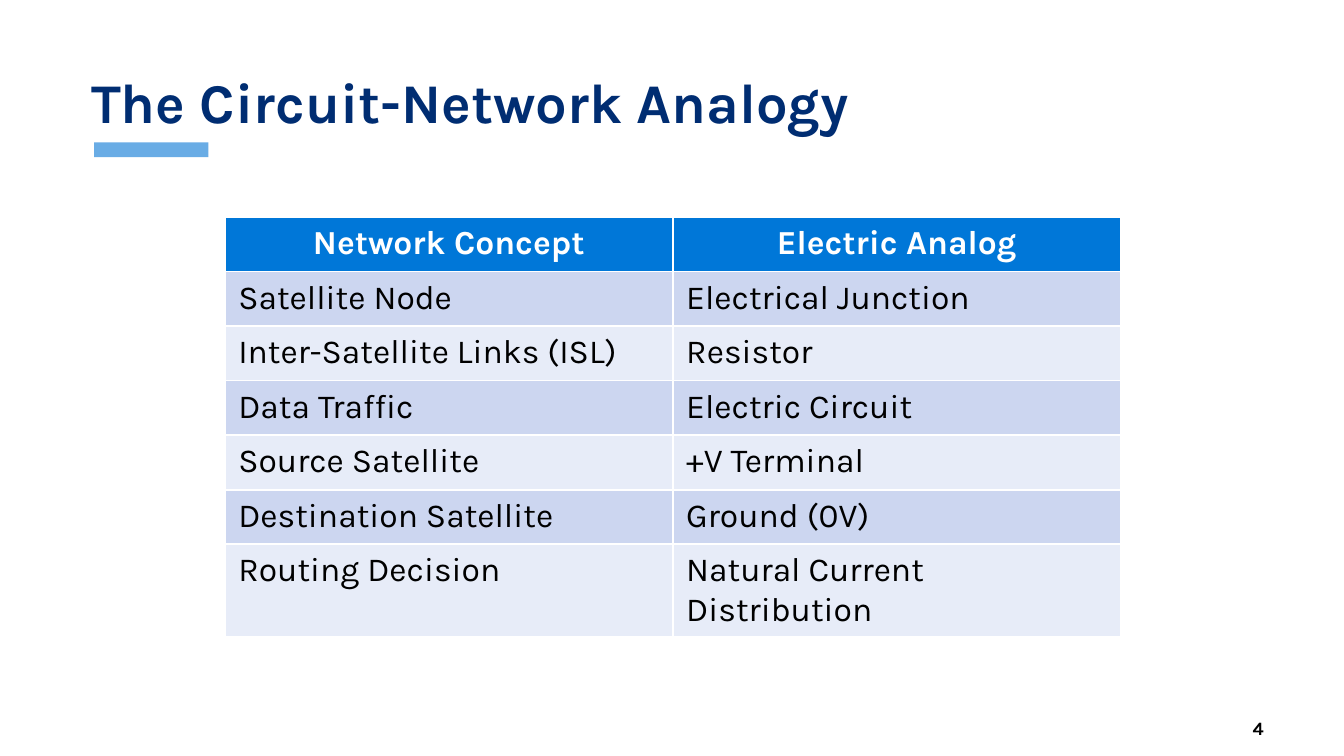
from pptx import Presentation
from pptx.dml.color import RGBColor
from pptx.enum.shapes import MSO_SHAPE
from pptx.enum.text import MSO_ANCHOR, MSO_AUTO_SIZE, PP_ALIGN
from pptx.util import Cm, Pt


class Theme:
    font = "Karla"
    navy = RGBColor(0x00, 0x2D, 0x72)
    accent = RGBColor(0x69, 0xAC, 0xE5)
    header = RGBColor(0x00, 0x77, 0xD8)
    bands = RGBColor(0xCC, 0xD6, 0xF0), RGBColor(0xE7, 0xEC, 0xF8)
    black = RGBColor(0, 0, 0)
    white = RGBColor(255, 255, 255)
    title_size, table_size, number_size = Pt(30), Pt(18), Pt(10)


def write(tf, text, size, color, bold=False, align=PP_ALIGN.LEFT):
    p = tf.paragraphs[0]
    p.alignment = align
    r = p.add_run()
    r.text = text
    for name, value in {"name": Theme.font, "size": size, "bold": bold}.items():
        setattr(r.font, name, value)
    r.font.color.rgb = color
    return p


prs = Presentation()
prs.slide_width, prs.slide_height = Cm(25.4), Cm(14.28)
s = prs.slides.add_slide(prs.slide_layouts[5])

# Title and accent bar
title = s.shapes.title
place = {"left": Cm(1.47), "top": Cm(0.3), "width": Cm(22.45), "height": Cm(2.39)}
for name, value in place.items():
    setattr(title, name, value)
tf = title.text_frame
for name, value in {"auto_size": MSO_AUTO_SIZE.NONE, "word_wrap": True,
                    "vertical_anchor": MSO_ANCHOR.BOTTOM}.items():
    setattr(tf, name, value)
p = write(tf, "The Circuit-Network Analogy", Theme.title_size, Theme.navy, bold=True)
p.line_spacing = 0.9

bar = s.shapes.add_shape(MSO_SHAPE.RECTANGLE, Cm(1.78), Cm(2.69), Cm(2.16), Cm(0.28))
bar.shadow.inherit = False
bar.fill.solid()
bar.fill.fore_color.rgb = Theme.accent
bar.line.fill.background()

# Analogy table; the default table style supplies the white rules
rows = [
    ("Network Concept", "Electric Analog"),
    ("Satellite Node", "Electrical Junction"),
    ("Inter-Satellite Links (ISL)", "Resistor"),
    ("Data Traffic", "Electric Circuit"),
    ("Source Satellite", "+V Terminal"),
    ("Destination Satellite", "Ground (0V)"),
    ("Routing Decision", "Natural Current Distribution"),
]
row_height = Cm(1.03)
table = s.shapes.add_table(len(rows), 2, Cm(4.25), Cm(4.1), Cm(16.93),
                           row_height * len(rows)).table
for i, row in enumerate(rows):
    table.rows[i].height = row_height
    for j, text in enumerate(row):
        cell = table.cell(i, j)
        cell.fill.solid()
        if i == 0:
            cell.fill.fore_color.rgb = Theme.header
            write(cell.text_frame, text, Theme.table_size, Theme.white,
                  bold=True, align=PP_ALIGN.CENTER)
        else:
            cell.fill.fore_color.rgb = Theme.bands[(i - 1) % 2]
            write(cell.text_frame, text, Theme.table_size, Theme.black)

# Slide number
number = s.shapes.add_textbox(Cm(21.92), Cm(13.51), Cm(2.21), Cm(0.48))
tf = number.text_frame
tf.word_wrap = True
tf.vertical_anchor = MSO_ANCHOR.MIDDLE
write(tf, "4", Theme.number_size, Theme.black, bold=True, align=PP_ALIGN.RIGHT)

prs.save("out.pptx")
